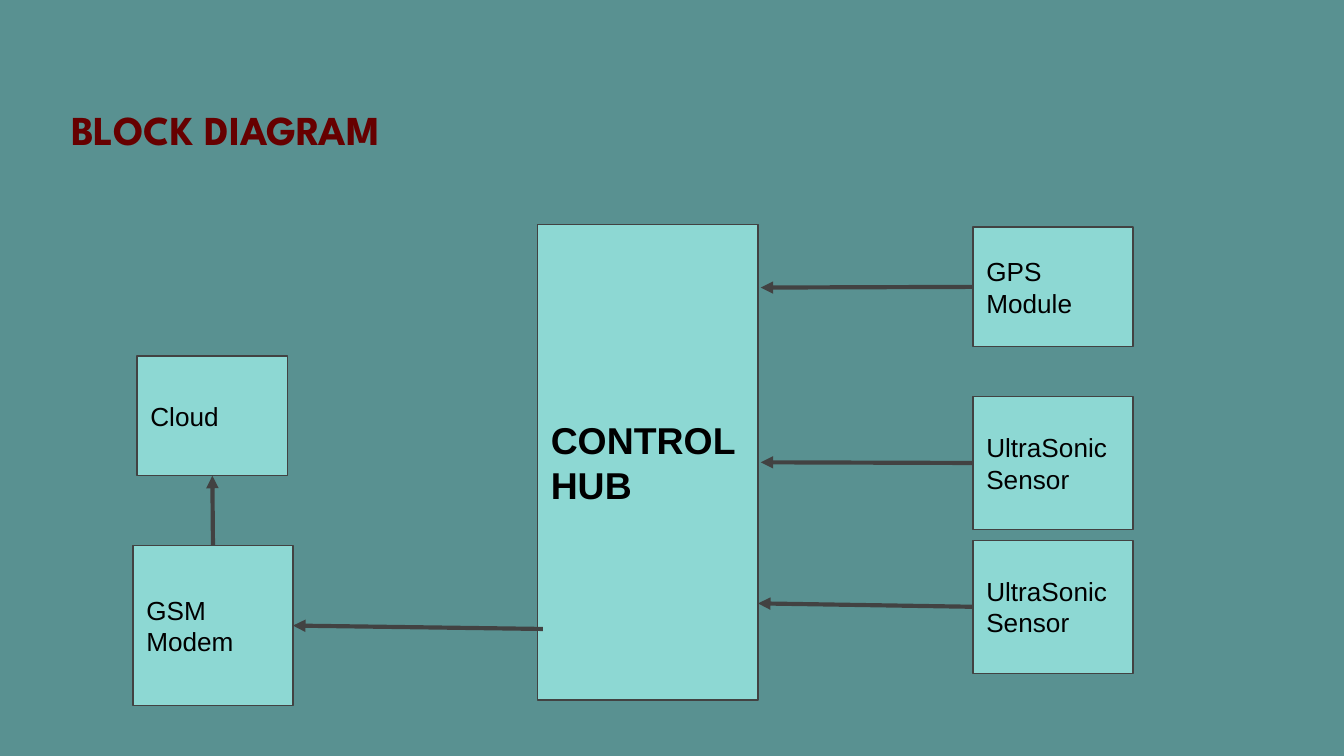
from lxml import etree
from pptx import Presentation
from pptx.dml.color import RGBColor
from pptx.enum.shapes import MSO_CONNECTOR, MSO_SHAPE
from pptx.enum.text import MSO_ANCHOR, PP_ALIGN
from pptx.oxml.ns import qn
from pptx.util import Inches, Pt

RECTANGLE = MSO_SHAPE.RECTANGLE
STRAIGHT = MSO_CONNECTOR.STRAIGHT
MIDDLE = MSO_ANCHOR.MIDDLE
LEFT = PP_ALIGN.LEFT
TOP_SIDE, LEFT_SIDE, BOTTOM_SIDE, RIGHT_SIDE = range(4)

COLORS = {
    "background": "599191",
    "title": "660000",
    "block": "8DD8D3",
    "line": "424242",
    "label": "000000",
}


def rgb(role):
    return RGBColor.from_string(COLORS[role])


def write(frame, text, size, font, role, bold):
    """Put one left-aligned, wrapping run into a text frame."""
    frame.word_wrap = True
    frame.margin_left = frame.margin_right = Inches(0.1)
    frame.margin_top = frame.margin_bottom = Inches(0.1)
    paragraph = frame.paragraphs[0]
    paragraph.alignment = LEFT
    run = paragraph.add_run()
    run.text = text
    run.font.size = Pt(size)
    run.font.name = font
    run.font.bold = bold
    run.font.color.rgb = rgb(role)


prs = Presentation()
prs.slide_width = Inches(10)
prs.slide_height = Inches(10 * 9 / 16)
slide = prs.slides.add_slide(prs.slide_layouts[6])
slide.background.fill.solid()
slide.background.fill.fore_color.rgb = rgb("background")

title = slide.shapes.add_textbox(Inches(0.43), Inches(0.68), Inches(7.15), Inches(0.57))
write(title.text_frame, "BLOCK DIAGRAM", 22, "League Spartan", "title", True)

# key: label, left, top, width, height, text size, bold
block_specs = {
    "controller": ("CONTROL HUB", 4, 1.67, 1.64, 3.54, 20, True),
    "gps": ("GPS Module", 7.24, 1.69, 1.19, 0.89, 14, False),
    "upper_sensor": ("UltraSonic Sensor", 7.24, 2.95, 1.19, 0.99, 14, False),
    "lower_sensor": ("UltraSonic Sensor", 7.24, 4.02, 1.19, 0.99, 14, False),
    "modem": ("GSM Modem", 0.99, 4.06, 1.19, 1.19, 14, False),
    "cloud": ("Cloud", 1.02, 2.65, 1.12, 0.89, 14, False),
}
blocks = {}
for key, (label, left, top, width, height, size, bold) in block_specs.items():
    block = slide.shapes.add_shape(
        RECTANGLE, Inches(left), Inches(top), Inches(width), Inches(height)
    )
    block.shadow.inherit = False
    block.fill.solid()
    block.fill.fore_color.rgb = rgb("block")
    block.line.color.rgb = rgb("line")
    block.line.width = Pt(0.75)
    block.text_frame.vertical_anchor = MIDDLE
    write(block.text_frame, label, size, "Arial", "label", bold)
    blocks[key] = block

# start point, end point, joined start (block, side), joined end (block, side)
flows = [
    ((7.24, 2.14), (5.66, 2.14), ("gps", LEFT_SIDE), None),
    ((7.24, 3.45), (5.66, 3.44), ("upper_sensor", LEFT_SIDE), None),
    ((7.24, 4.51), (5.64, 4.49), ("lower_sensor", LEFT_SIDE), None),
    ((4.04, 4.68), (2.19, 4.66), None, ("modem", RIGHT_SIDE)),
    ((1.59, 4.06), (1.58, 3.55), ("modem", TOP_SIDE), ("cloud", BOTTOM_SIDE)),
]
for start, end, source, target in flows:
    arrow = slide.shapes.add_connector(STRAIGHT, *map(Inches, start + end))
    if source:
        arrow.begin_connect(blocks[source[0]], source[1])
    if target:
        arrow.end_connect(blocks[target[0]], target[1])
    arrow.line.color.rgb = rgb("line")
    arrow.line.width = Pt(2.25)
    etree.SubElement(arrow.line._get_or_add_ln(), qn("a:tailEnd"), type="triangle")
    etree.SubElement(arrow._element.spPr, qn("a:effectLst"))

prs.save("out.pptx")
